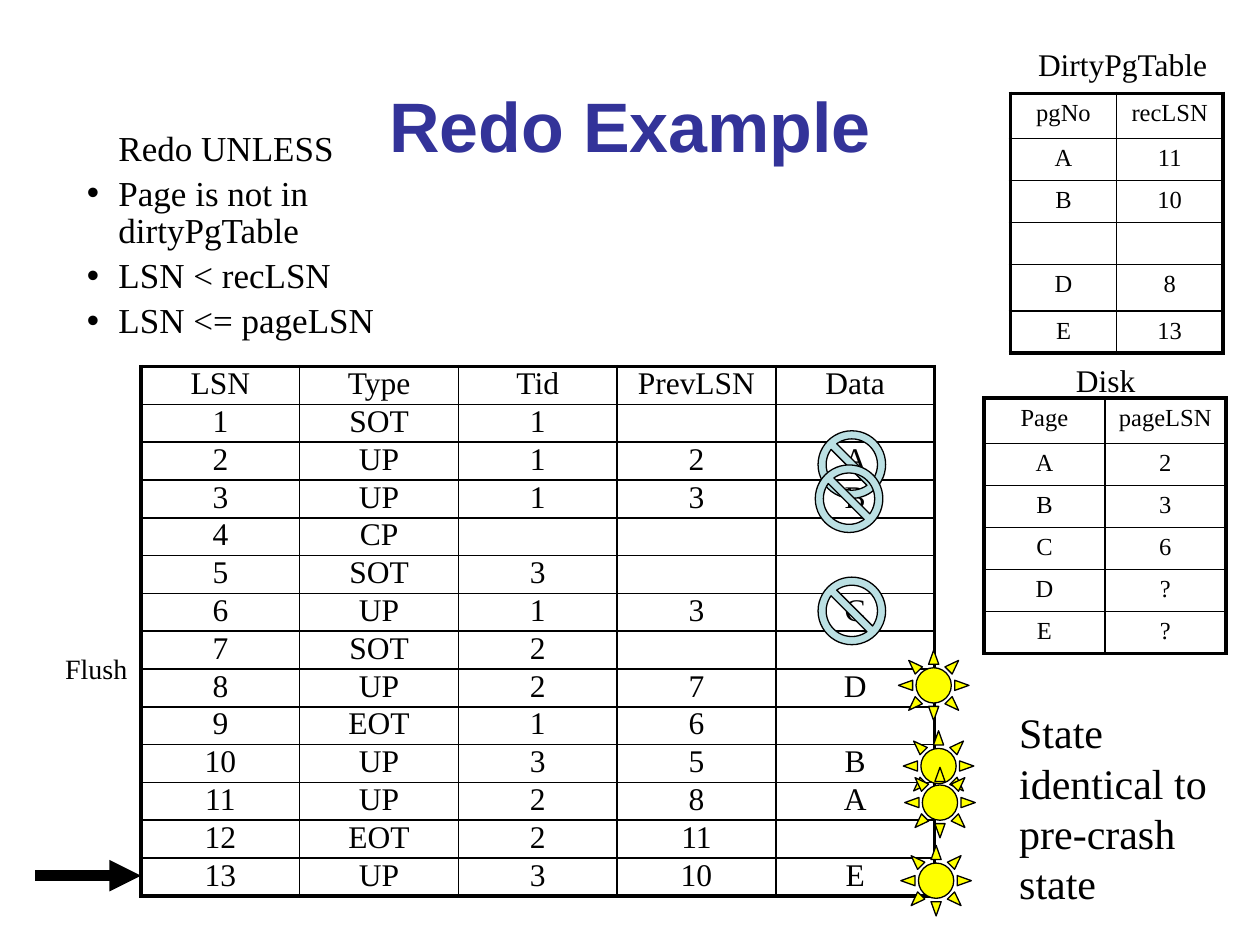
from pptx import Presentation
from pptx.dml.color import RGBColor
from pptx.enum.shapes import MSO_CONNECTOR, MSO_SHAPE
from pptx.enum.text import MSO_ANCHOR, MSO_AUTO_SIZE, PP_ALIGN
from pptx.oxml.xmlchemy import OxmlElement
from pptx.util import Pt

THEME = {
    "title": {"name": "Arial", "size": Pt(40), "bold": True, "color": "333399"},
    "rules": {"name": "Times New Roman", "size": Pt(20), "color": "000000"},
    "log": {"name": "Times New Roman", "size": Pt(18), "color": "000000"},
    "pages": {"name": "Times New Roman", "size": Pt(14), "color": "000000"},
    "label": {"name": "Times New Roman", "size": Pt(18), "color": "000000"},
    "flush": {"name": "Times New Roman", "size": Pt(16), "color": "000000"},
    "remark": {"name": "Times New Roman", "size": Pt(24), "color": "000000"},
    "ink": "000000", "paper": "FFFFFF", "skip": "BBE0E3", "redo": "FEFF00",
    "frame": 2.25, "grid": 1, "outline": 0.75, "arrow": 6,
}

TITLE = "Redo Example"
RULES_HEAD = "Redo UNLESS"
RULES = ["Page is not in dirtyPgTable", "LSN < recLSN", "LSN <= pageLSN"]

LOG = [
    ("LSN", "Type", "Tid", "PrevLSN", "Data"),
    ("1", "SOT", "1", "", ""),
    ("2", "UP", "1", "2", "A"),
    ("3", "UP", "1", "3", "B"),
    ("4", "CP", "", "", ""),
    ("5", "SOT", "3", "", ""),
    ("6", "UP", "1", "3", "C"),
    ("7", "SOT", "2", "", ""),
    ("8", "UP", "2", "7", "D"),
    ("9", "EOT", "1", "6", ""),
    ("10", "UP", "3", "5", "B"),
    ("11", "UP", "2", "8", "A"),
    ("12", "EOT", "2", "11", ""),
    ("13", "UP", "3", "10", "E"),
]
DIRTY_PAGES = [("pgNo", "recLSN"), ("A", "11"), ("B", "10"), ("", ""), ("D", "8"), ("E", "13")]
DISK_PAGES = [("Page", "pageLSN"), ("A", "2"), ("B", "3"), ("C", "6"), ("D", "?"), ("E", "?")]

# rows, left, top, column width, row heights, type style, fill, cell margins
TABLES = [
    (LOG, 80.6, 209.5, 90.7, [21.6] * 14, "log", None, (3.6, 0)),
    (DIRTY_PAGES, 577.4, 53.3, 60.7, [25.9, 24, 24, 24, 26.6, 24], "pages", "paper", (7.2, 3.6)),
    (DISK_PAGES, 562.3, 227.5, 69.1, [25.9] + [24] * 5, "pages", "paper", (7.2, 3.6)),
]
# text, left, top, width, height, type style, wrap
LABELS = [
    ("DirtyPgTable", 586.1, 22.3, 112.3, 28.8, "label", False),
    ("Disk", 607.7, 203, 48.2, 28.8, "label", False),
    ("State identical to pre-crash state", 575.3, 400.3, 126, 122.4, "remark", True),
    ("Flush", 30.2, 368.6, 50.4, 26.6, "flush", False),
]
# preset, fill, size, adjustment, (left, top) of each mark
MARKS = [
    (MSO_SHAPE.NO_SYMBOL, "skip", 38.6, 0.12,
     [(467.5, 246.2), (465.9, 265.7), (467.5, 329.8)]),
    (MSO_SHAPE.SUN, "redo", 40.3, 0.25,
     [(513.4, 371.5), (516.2, 417.6), (514.8, 483.1), (517, 438.5)]),
]
ARROW = (20.2, 500.4, 80.6, 500.4)


def rgb(key):
    return RGBColor.from_string(THEME[key])


def apply(target, values):
    for attribute, value in values.items():
        setattr(target, attribute, value)


def place(shape, left, top, width, height):
    apply(shape, {"left": Pt(left), "top": Pt(top), "width": Pt(width), "height": Pt(height)})


def write(paragraph, text, style):
    run = paragraph.add_run()
    run.text = text
    values = dict(THEME[style])
    run.font.color.rgb = RGBColor.from_string(values.pop("color"))
    apply(run.font, values)


def child(parent, tag, **attributes):
    element = OxmlElement(tag)
    for key, value in attributes.items():
        element.set(key, str(value))
    parent.append(element)
    return element


def border(cell, side, width):
    line = child(cell._tc.get_or_add_tcPr(), f"a:ln{side}", w=Pt(width))
    child(child(line, "a:solidFill"), "a:srgbClr", val=THEME["ink"])


def add_grid(slide, rows, left, top, column_width, heights, style, fill, margins):
    last_row, last_column = len(rows) - 1, len(rows[0]) - 1
    table = slide.shapes.add_table(
        len(rows), len(rows[0]), Pt(left), Pt(top),
        Pt(column_width * len(rows[0])), Pt(sum(heights))).table
    apply(table, {"first_row": False, "horz_banding": False})
    for column in table.columns:
        column.width = Pt(column_width)
    side_margin, end_margin = map(Pt, margins)
    for r, values in enumerate(rows):
        table.rows[r].height = Pt(heights[r])
        for c, value in enumerate(values):
            cell = table.cell(r, c)
            apply(cell, {"margin_left": side_margin, "margin_right": side_margin,
                         "margin_top": end_margin, "margin_bottom": end_margin})
            outer = {"L": c == 0, "R": c == last_column, "T": r == 0, "B": r == last_row}
            for side, is_outer in outer.items():
                border(cell, side, THEME["frame" if is_outer else "grid"])
            if fill:
                cell.fill.solid()
                cell.fill.fore_color.rgb = rgb(fill)
            else:
                cell.fill.background()
            paragraph = cell.text_frame.paragraphs[0]
            paragraph.alignment = PP_ALIGN.CENTER
            if value:
                write(paragraph, value, style)
            else:
                font = THEME[style]
                end = child(paragraph._p, "a:endParaRPr", sz=int(font["size"].pt * 100))
                child(end, "a:latin", typeface=font["name"])


def add_title(slide):
    title = slide.shapes.title
    place(title, 54, 32.4, 612, 77.8)
    apply(title.text_frame, {"vertical_anchor": MSO_ANCHOR.MIDDLE,
                             "auto_size": MSO_AUTO_SIZE.NONE})
    paragraph = title.text_frame.paragraphs[0]
    paragraph.alignment = PP_ALIGN.CENTER
    write(paragraph, TITLE, "title")


def add_rules(slide):
    body = slide.placeholders[1]
    place(body, -11.5, 71.3, 239, 109.4)
    frame = body.text_frame
    apply(frame, {"word_wrap": True, "auto_size": MSO_AUTO_SIZE.NONE,
                  "vertical_anchor": MSO_ANCHOR.TOP})
    for i, text in enumerate([RULES_HEAD] + RULES):
        paragraph = frame.add_paragraph() if i else frame.paragraphs[0]
        apply(paragraph, {"line_spacing": 0.9, "space_before": Pt(4)})
        properties = paragraph._p.get_or_add_pPr()
        properties.set("marL", str(Pt(72)))
        properties.set("indent", str(Pt(-18) if i else 0))
        if i:
            child(properties, "a:buChar", char="•")
        else:
            child(properties, "a:buNone")
        write(paragraph, text, "rules")


def add_label(slide, text, left, top, width, height, style, wrap):
    label = slide.shapes.add_textbox(Pt(left), Pt(top), Pt(width), Pt(height))
    label.text_frame.word_wrap = wrap
    write(label.text_frame.paragraphs[0], text, style)


def add_mark(slide, preset, fill, size, adjustment, left, top):
    mark = slide.shapes.add_shape(preset, Pt(left), Pt(top), Pt(size), Pt(size))
    mark.adjustments[0] = adjustment
    mark.shadow.inherit = False
    mark.fill.solid()
    mark.fill.fore_color.rgb = rgb(fill)
    mark.line.color.rgb = rgb("ink")
    mark.line.width = Pt(THEME["outline"])


def add_arrow(slide):
    arrow = slide.shapes.add_connector(MSO_CONNECTOR.STRAIGHT, *map(Pt, ARROW))
    arrow.line.color.rgb = rgb("ink")
    arrow.line.width = Pt(THEME["arrow"])
    child(arrow.line._get_or_add_ln(), "a:tailEnd", type="triangle")
    child(arrow._element.spPr, "a:effectLst")


def main():
    deck = Presentation()
    apply(deck, {"slide_width": Pt(720), "slide_height": Pt(540)})
    slide = deck.slides.add_slide(deck.slide_layouts[1])
    add_title(slide)
    add_rules(slide)
    for table in TABLES:
        add_grid(slide, *table)
    add_arrow(slide)
    for *mark, corners in MARKS:
        for corner in corners:
            add_mark(slide, *mark, *corner)
    for label in LABELS:
        add_label(slide, *label)
    deck.save("out.pptx")


if __name__ == "__main__":
    main()
